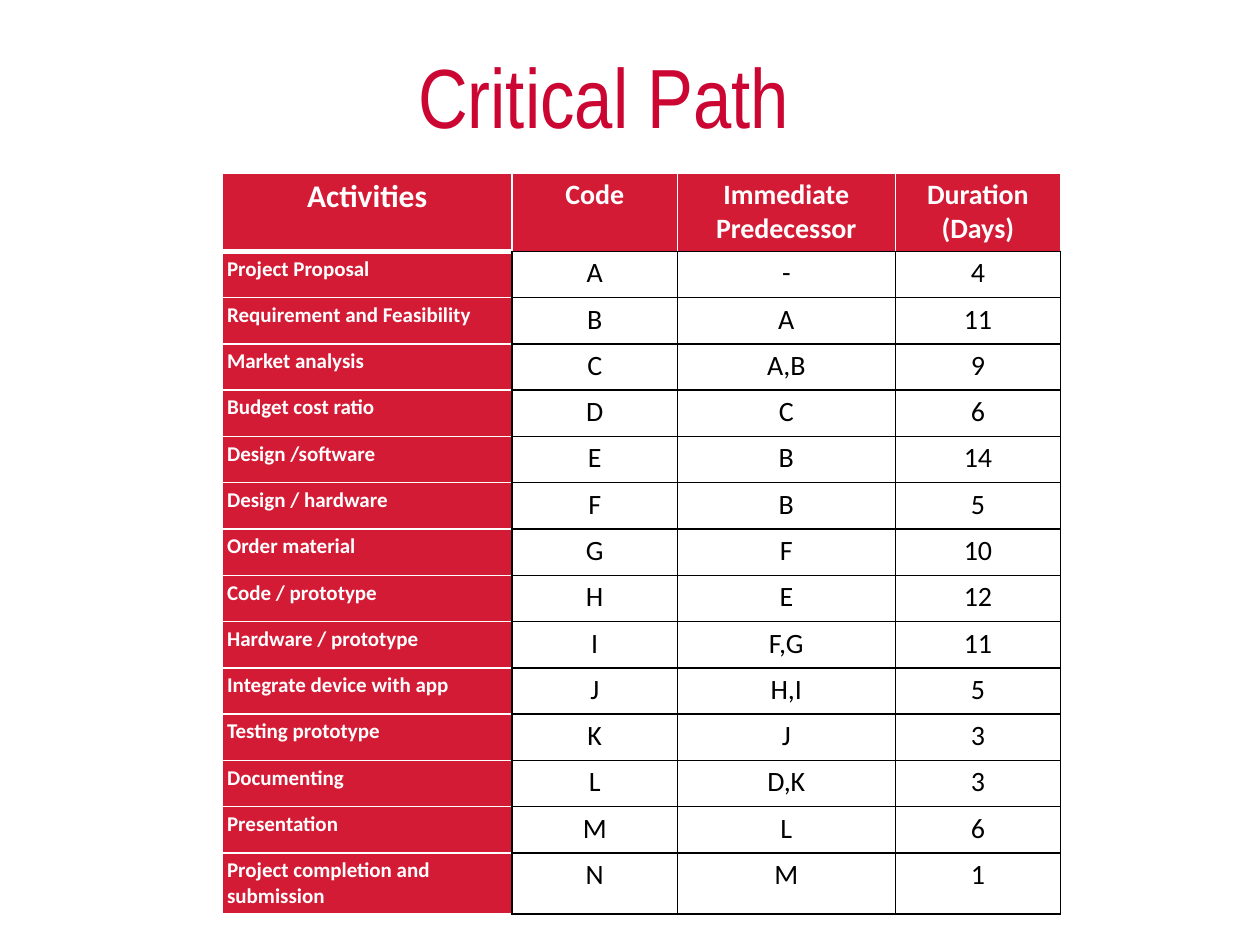
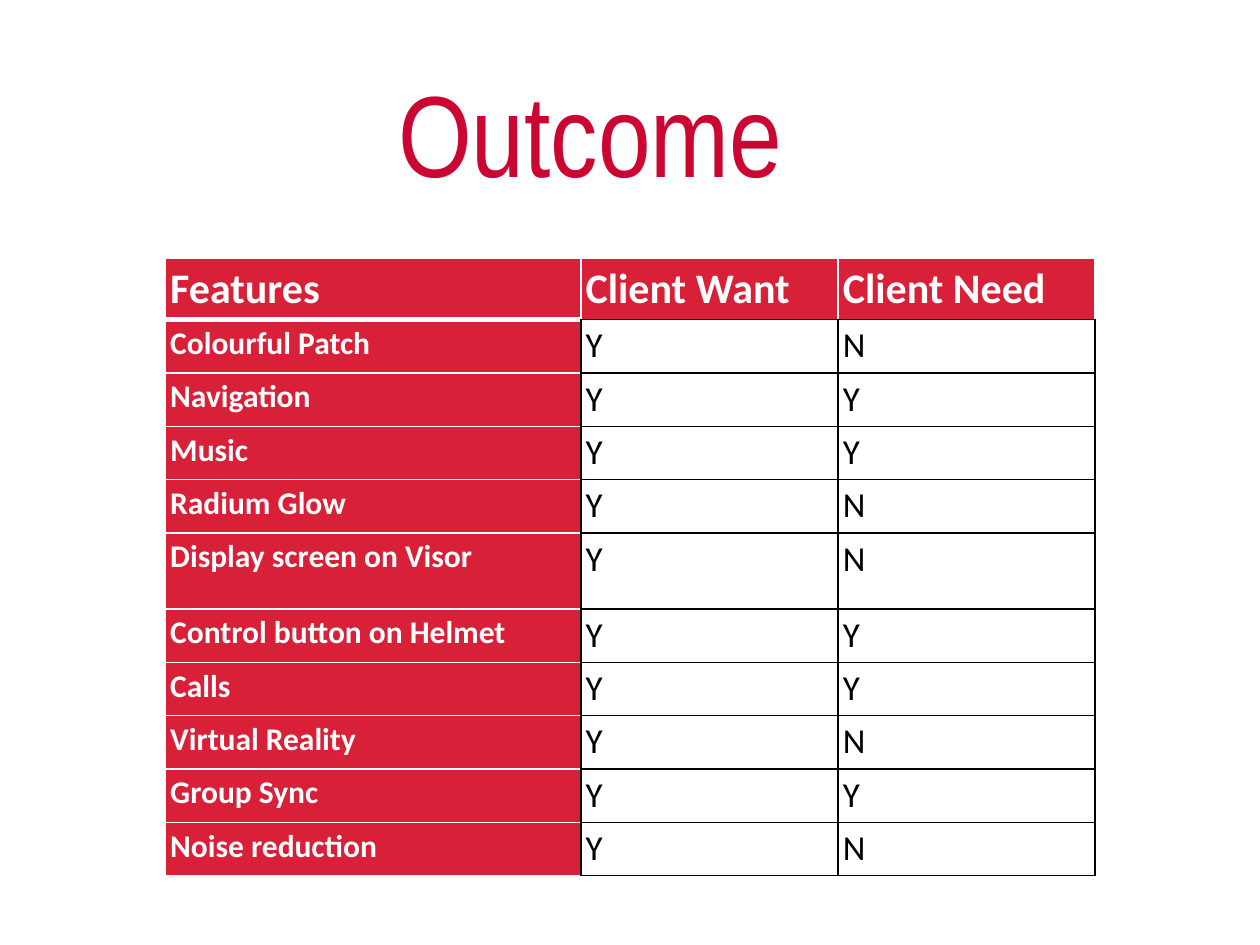
import dataclasses

import pptx
import pptx.dml.color
import pptx.enum.text
import pptx.oxml
import pptx.oxml.ns
import pptx.util

Pt = pptx.util.Pt
ALIGN = pptx.enum.text.PP_ALIGN


@dataclasses.dataclass(frozen=True)
class Theme:
    title_font: str = "Arial Narrow"
    body_font: str = "Calibri"
    title: str = "CC0633"
    white: str = "FFFFFF"
    black: str = "000000"
    path_red: str = "D41B35"
    outcome_red: str = "D82139"
    path_title_size: int = 48
    outcome_title_size: int = 66
    path_sizes: tuple = (18, 16, 12, 16)
    outcome_sizes: tuple = (24, 24, 18, 20)
    cell_inset: float = 2.8
    rule: int = 1
    heavy_rule: int = 3


THEME = Theme()

ACTIVITIES = [
    ("Activities", "Code", "Immediate Predecessor", "Duration (Days)"),
    ("Project Proposal", "A", "-", "4"),
    ("Requirement and Feasibility", "B", "A", "11"),
    ("Market analysis", "C", "A,B", "9"),
    ("Budget cost ratio", "D", "C", "6"),
    ("Design /software", "E", "B", "14"),
    ("Design / hardware", "F", "B", "5"),
    ("Order material", "G", "F", "10"),
    ("Code / prototype", "H", "E", "12"),
    ("Hardware / prototype", "I", "F,G", "11"),
    ("Integrate device with app", "J", "H,I", "5"),
    ("Testing prototype", "K", "J", "3"),
    ("Documenting", "L", "D,K", "3"),
    ("Presentation", "M", "L", "6"),
    ("Project completion and submission", "N", "M", "1"),
]

FEATURES = [
    ("Features", "Client Want", "Client Need"),
    ("Colourful Patch", "Y", "N"),
    ("Navigation", "Y", "Y"),
    ("Music", "Y", "Y"),
    ("Radium Glow", "Y", "N"),
    ("Display screen on Visor", "Y", "N"),
    ("Control button on Helmet", "Y", "Y"),
    ("Calls", "Y", "Y"),
    ("Virtual Reality", "Y", "N"),
    ("Group Sync", "Y", "Y"),
    ("Noise reduction", "Y", "N"),
]


def set_attrs(obj, values):
    for name, value in values.items():
        setattr(obj, name, value)


def format_run(r, font, size, color, bold=False):
    set_attrs(r.font, {"name": font, "size": Pt(size), "bold": bold})
    r.font.color.rgb = pptx.dml.color.RGBColor.from_string(color)


def add_title(slide, box, text, size):
    sp = slide.shapes.title
    set_attrs(sp, dict(zip(("left", "top", "width", "height"), map(Pt, box))))
    tf = sp.text_frame
    set_attrs(tf, {
        "word_wrap": True,
        "auto_size": pptx.enum.text.MSO_AUTO_SIZE.NONE,
        "vertical_anchor": pptx.enum.text.MSO_ANCHOR.TOP,
    })
    p = tf.paragraphs[0]
    set_attrs(p, {"alignment": ALIGN.LEFT, "line_spacing": 0.9})
    r = p.add_run()
    r.text = text
    format_run(r, THEME.title_font, size, THEME.title)


def set_borders(cell, borders):
    tc_pr = cell._tc.get_or_add_tcPr()
    for side in "LRTB":
        color, width = borders[side]
        tc_pr.append(pptx.oxml.parse_xml(
            f'<a:ln{side} {pptx.oxml.ns.nsdecls("a")} w="{Pt(width)}">'
            f'<a:solidFill><a:srgbClr val="{color}"/></a:solidFill>'
            f'</a:ln{side}>'))


def cell_borders(row, col):
    white, black = (THEME.white, THEME.rule), (THEME.black, THEME.rule)
    if row == 0:
        below = black if col else (THEME.white, THEME.heavy_rule)
        return {"L": white, "R": white, "T": white, "B": below}
    if col == 0:
        return {"L": white, "R": black, "T": white, "B": white}
    return dict.fromkeys("LRTB", black)


def fill_cell(cell, row, col, text, red, sizes, value_align):
    is_red = row == 0 or col == 0
    set_borders(cell, cell_borders(row, col))
    cell.fill.solid()
    cell.fill.fore_color.rgb = pptx.dml.color.RGBColor.from_string(
        red if is_red else THEME.white)
    sides = ("left", "right", "top", "bottom")
    set_attrs(cell, {f"margin_{side}": Pt(THEME.cell_inset) for side in sides})
    p = cell.text_frame.paragraphs[0]
    p.alignment = ALIGN.LEFT if row and not col else value_align
    r = p.add_run()
    r.text = text
    corner, header, label, value = sizes
    if row == 0:
        size = header if col else corner
    else:
        size = value if col else label
    format_run(r, THEME.body_font, size,
               THEME.white if is_red else THEME.black, is_red)


def add_grid(slide, origin, rows, widths, heights, red, sizes, value_align):
    left, top = origin
    table = slide.shapes.add_table(
        len(rows), len(widths), Pt(left), Pt(top),
        Pt(sum(widths)), Pt(sum(heights))).table
    for column, width in zip(table.columns, widths):
        column.width = Pt(width)
    for i, (values, height) in enumerate(zip(rows, heights)):
        table.rows[i].height = Pt(height)
        for j, text in enumerate(values):
            fill_cell(table.cell(i, j), i, j, text, red, sizes, value_align)


def build_critical_path(slide):
    add_title(slide, (231.8, 28.1, 270, 56.2), "Critical Path",
              THEME.path_title_size)
    heights = [44.6] + [26.45] * (len(ACTIVITIES) - 2) + [34.9]
    add_grid(slide, (127, 98.9), ACTIVITIES, (165.6, 94.5, 124.5, 94.5),
             heights, THEME.path_red, THEME.path_sizes, ALIGN.CENTER)


def build_outcome(slide):
    add_title(slide, (220.3, 41, 314.6, 103.7), "Outcome",
              THEME.outcome_title_size)
    heights = [34.9] + [30.5] * (len(FEATURES) - 1)
    heights[5] = 43.4
    add_grid(slide, (94.5, 147.8), FEATURES, (237.4, 147, 147),
             heights, THEME.outcome_red, THEME.outcome_sizes, ALIGN.LEFT)


def main():
    prs = pptx.Presentation()
    set_attrs(prs, {"slide_width": Pt(720), "slide_height": Pt(540)})
    title_only = prs.slide_layouts[5]
    for build in (build_critical_path, build_outcome):
        build(prs.slides.add_slide(title_only))
    prs.save("out.pptx")


if __name__ == "__main__":
    main()
